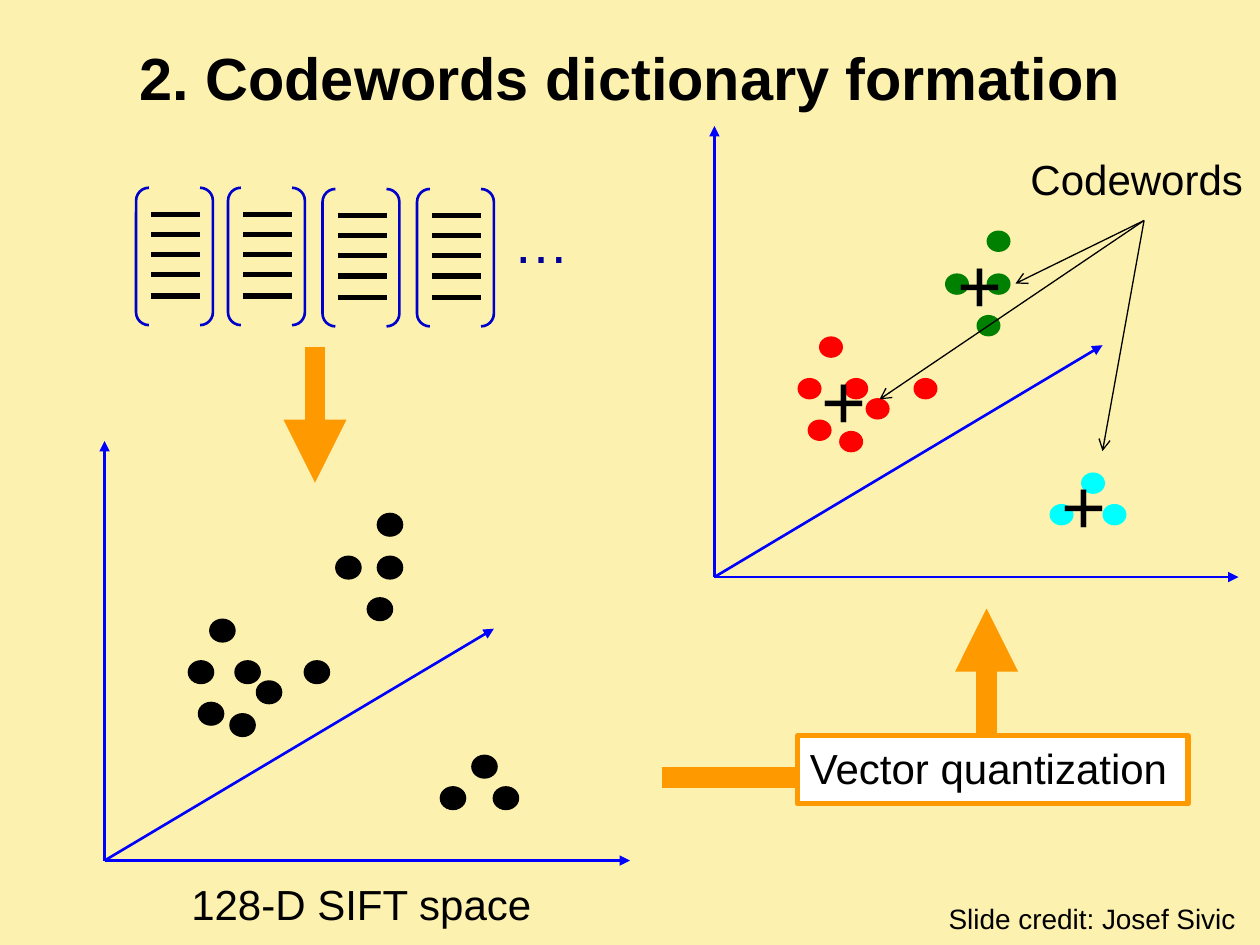
from pptx import Presentation
from pptx import util as u
from pptx.dml.color import RGBColor
from pptx.enum import shapes, text
from pptx.oxml.ns import qn
from lxml import etree

# Content
TITLE = "2. Codewords dictionary formation"
STEP = "Vector quantization"
LABELS = [  # words, left, top, width, height, size, colour
    ("…", 3.98, 1.6, 0.65, 0.63, 32, "000099"),
    ("Slide credit: Josef Sivic", 7.43, 7.11, 2.48, 0.37, 16, "000000"),
    ("128-D SIFT space", 1.42, 6.92, 2.93, 0.5, 24, "000000"),
    ("Codewords", 8.08, 1.17, 1.91, 0.5, 24, "000000"),
]
# Dots of each cluster, as left and top in the left-hand space
CLUSTERS = {
    "FF0000": [(1.87, 5.25), (2.04, 5.41), (1.5, 5.25), (1.83, 5.67),
               (1.58, 5.58), (2.42, 5.25), (1.67, 4.92)],
    "008000": [(3, 4.08), (2.92, 4.75), (2.67, 4.42), (3, 4.42)],
    "00FFFF": [(3.92, 6.25), (3.75, 6), (3.5, 6.25)],
}
SHIFT = (4.83, -2.25)  # from the left-hand space to the right-hand one
AXES = [  # origin, axis tips
    ((0.83, 6.83), [(0.83, 3.5), (5, 6.83), (3.92, 4.99)]),
    ((5.67, 4.58), [(5.67, 1), (9.83, 4.58), (8.75, 2.74)]),
]
CENTRES = [(6.42, 2.75), (7.5, 1.83), (8.33, 3.58)]
POINTER = (9.08, 1.75)
TARGETS = [(8.75, 3.58), (8.06, 2.25), (6.98, 3.17)]
VECTORS = [(1.08, 1.49), (1.81, 1.49), (2.56, 1.5), (3.31, 1.5)]
ROWS = [0.21, 0.37, 0.53, 0.69, 0.86]
BLUE, ORANGE, BLACK = "0000FF", "FF9900", "000000"

deck = Presentation()
deck.slide_width, deck.slide_height = u.Inches(10), u.Inches(7.5)
slide = deck.slides.add_slide(deck.slide_layouts[6])


def tint(code):
    return RGBColor.from_string(code)


def paint(fill, code):
    if code:
        fill.solid()
        fill.fore_color.rgb = tint(code)
    else:
        fill.background()


def shape(kind, x, y, w, h, fill=None, edge=None, width=1.5):
    item = slide.shapes.add_shape(kind, *map(u.Inches, (x, y, w, h)))
    item.shadow.inherit = False
    paint(item.fill, fill)
    paint(item.line.fill, edge)
    if edge:
        item.line.width = u.Pt(width)
    return item


def line(start, end, color, width, head=None):
    item = slide.shapes.add_connector(
        shapes.MSO_CONNECTOR.STRAIGHT, *map(u.Inches, (*start, *end)))
    item.line.width = u.Pt(width)
    paint(item.line.fill, color)
    if head:
        etree.SubElement(item.line._get_or_add_ln(), qn("a:tailEnd"), type=head)
    etree.SubElement(item._element.spPr, qn("a:effectLst"))


def write(item, words, size, color=BLACK, bold=False, center=False):
    frame = item.text_frame
    frame.text = words
    frame.word_wrap = center
    frame.auto_size = (text.MSO_AUTO_SIZE.NONE if center
                       else text.MSO_AUTO_SIZE.SHAPE_TO_FIT_TEXT)
    frame.vertical_anchor = (text.MSO_ANCHOR.MIDDLE if center
                             else text.MSO_ANCHOR.TOP)
    para = frame.paragraphs[0]
    para.alignment = text.PP_ALIGN.CENTER if center else text.PP_ALIGN.LEFT
    form = {"name": "Arial", "size": u.Pt(size), "bold": bold}
    for key, value in form.items():
        setattr(para.font, key, value)
    para.font.color.rgb = tint(color)


def label(words, x, y, w, h, size, color=BLACK, **form):
    item = slide.shapes.add_textbox(*map(u.Inches, (x, y, w, h)))
    write(item, words, size, color, **form)


paint(slide.background.fill, "FCF1AE")
label(TITLE, 0.5, 0.3, 9, 0.62, 34, bold=True, center=True)

# Descriptor vectors
for x, y in VECTORS:
    pair = shape(shapes.MSO_SHAPE.DOUBLE_BRACKET, x, y, 0.61, 1.09, edge="0000CC")
    pair.adjustments[0] = 0.167
    for row in ROWS:
        line((x + 0.12, y + row), (x + 0.51, y + row), BLACK, 3)

# Axes of both spaces
for start, tips in AXES:
    for tip in tips:
        line(start, tip, BLUE, 1.5, "triangle")

# Dots, plain on the left and coloured by cluster on the right
for color, dots in CLUSTERS.items():
    for x, y in dots:
        shape(shapes.MSO_SHAPE.OVAL, x, y, 0.19, 0.17, BLACK, BLACK)
        shape(shapes.MSO_SHAPE.OVAL, x + SHIFT[0], y + SHIFT[1], 0.19, 0.17, color)

# Flow arrows and the step box over them
line((2.5, 2.75), (2.5, 3.83), ORANGE, 12, "triangle")
line((5.25, 6.17), (7.5, 6.17), ORANGE, 12)
line((7.83, 6.17), (7.83, 4.83), ORANGE, 12, "triangle")
box = shape(shapes.MSO_SHAPE.RECTANGLE, 6.33, 5.84, 3.1, 0.54, "FFFFFF", ORANGE, 3)
write(box, STEP, 24)

# Labels, cluster centres and pointers
for item in LABELS:
    label(*item)
for x, y in CENTRES:
    label("+", x, y, 0.56, 0.84, 44)
for target in TARGETS:
    line(POINTER, target, BLACK, 0.75, "arrow")

deck.save("out.pptx")
